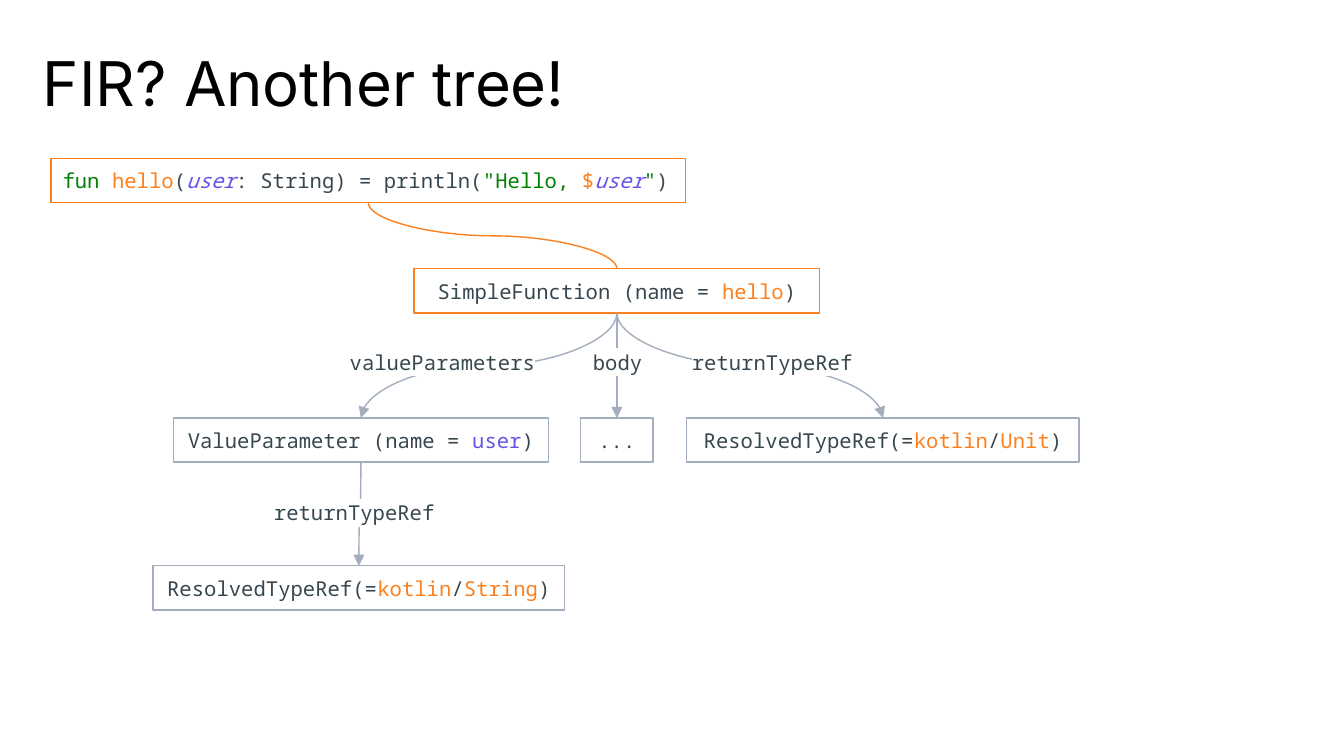
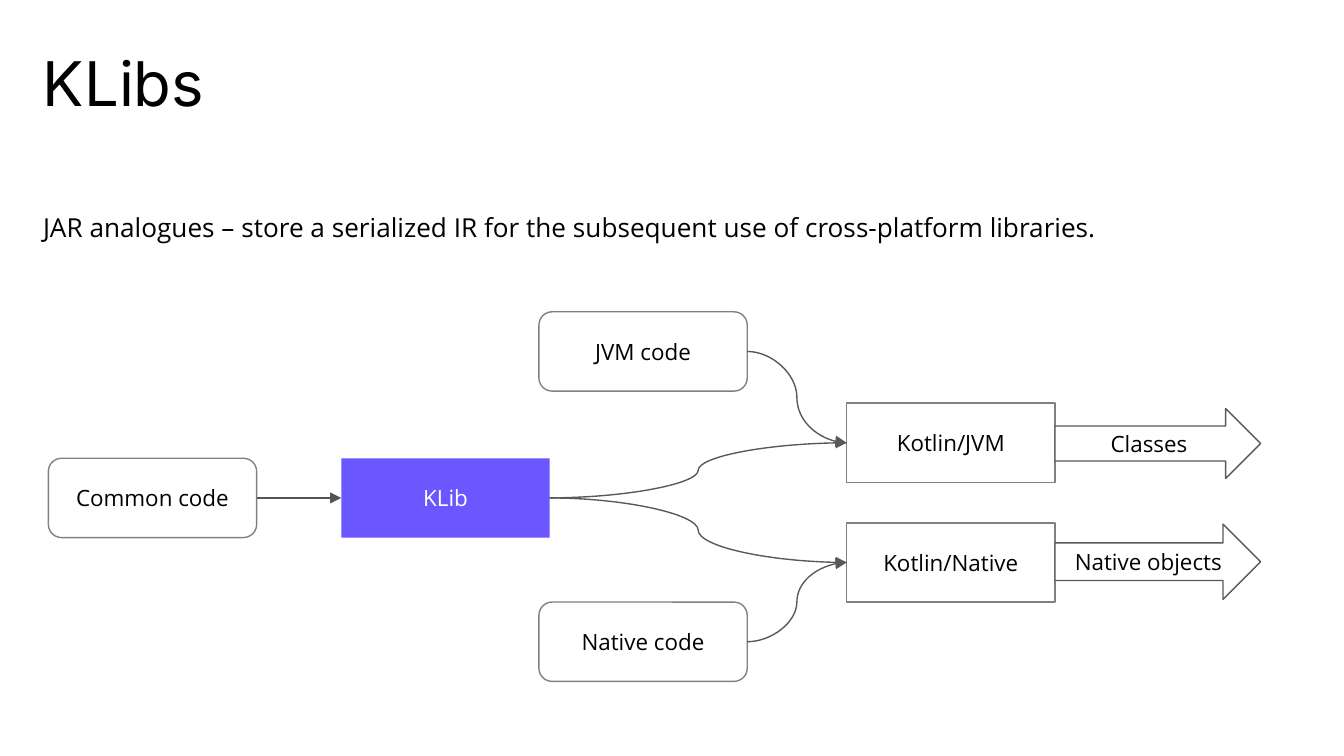
from lxml.etree import SubElement
from pptx import Presentation
from pptx.dml.color import RGBColor
from pptx.enum.shapes import MSO_CONNECTOR, MSO_SHAPE as SHAPE
from pptx.enum.text import MSO_ANCHOR as ANCHOR, PP_ALIGN as ALIGN
from pptx.oxml.ns import qn
from pptx.util import Inches, Pt

BLACK = RGBColor(0x00, 0x00, 0x00)
WHITE = RGBColor(0xFF, 0xFF, 0xFF)
SLATE = RGBColor(0x37, 0x47, 0x4F)
ORANGE = RGBColor(0xFC, 0x80, 0x1D)
PURPLE = RGBColor(0x65, 0x54, 0xE8)
GREEN = RGBColor(0x01, 0x80, 0x01)
QUOTE_GREEN = RGBColor(0x00, 0x80, 0x00)
TREE_GRAY = RGBColor(0xA2, 0xAE, 0xBD)
BOX_GRAY = RGBColor(0x80, 0x80, 0x80)
FLOW_GRAY = RGBColor(0x59, 0x59, 0x59)
INPUT_GRAY = RGBColor(0x53, 0x53, 0x53)
KLIB_PURPLE = RGBColor(0x6B, 0x57, 0xFF)

MONO = ("Noto Sans Mono", 11)
SANS = ("Open Sans", 12)
TOP, LEFT, BOTTOM, RIGHT = range(4)  # connection sites of a box


def put(slide, at, runs, font, kind=None, line=None, fill=None,
        align=ALIGN.CENTER, anchor=ANCHOR.MIDDLE, insets=(0.1,) * 4, spacing=None):
    """Add a preset shape, or a text box if kind is None; runs are (text, colour[, italic])."""
    place = [Inches(v) for v in at]
    if kind is None:
        shape = slide.shapes.add_textbox(*place)
    else:
        shape = slide.shapes.add_shape(kind, *place)
        shape.shadow.inherit = False
        if fill is None:
            shape.fill.background()
        else:
            shape.fill.solid()
            shape.fill.fore_color.rgb = fill
        if line is None:
            shape.line.fill.background()
        else:
            shape.line.color.rgb = line
            shape.line.width = Pt(0.75)
    frame = shape.text_frame
    frame.word_wrap = True
    frame.vertical_anchor = anchor
    (frame.margin_left, frame.margin_top,
     frame.margin_right, frame.margin_bottom) = [Inches(v) for v in insets]
    paragraph = frame.paragraphs[0]
    paragraph.alignment = align
    paragraph.line_spacing = spacing
    paragraph.font.name, paragraph.font.size = font[0], Pt(font[1])
    for text, color, *italic in runs:
        run = paragraph.add_run()
        run.text = text
        run.font.color.rgb = color
        if italic:
            run.font.italic = True
    return shape


def link(slide, start, start_site, end, end_site, color, arrow=True):
    """Join two boxes by a curve; one leaving a bottom edge is turned to run downwards."""
    curve = slide.shapes.add_connector(MSO_CONNECTOR.CURVE, 0, 0, 0, 0)
    curve.begin_connect(start, start_site)
    curve.end_connect(end, end_site)
    curve.line.color.rgb = color
    curve.line.width = Pt(0.75)
    properties = curve._element.spPr
    if arrow:
        SubElement(properties.find(qn("a:ln")), qn("a:tailEnd"), type="triangle")
    SubElement(properties, qn("a:effectLst"))
    if start_site == BOTTOM:
        across, down = curve.end_x - curve.begin_x, curve.end_y - curve.begin_y
        mid_x, mid_y = curve.begin_x + across // 2, curve.begin_y + down // 2
        half_length = down // 2 if across <= 0 else -(down // 2)
        half_width = abs(across) // 2
        curve.begin_x, curve.end_x = mid_x - half_length, mid_x + half_length
        curve.begin_y, curve.end_y = mid_y - half_width, mid_y + half_width
        degrees = 90 if across <= 0 else 270
        properties.find(qn("a:xfrm")).set("rot", str(degrees * 60000))


deck = Presentation()
deck.slide_width = Inches(10)
deck.slide_height = Inches(10) * 9 // 16
slides = []
for title in ("FIR? Another tree!", "KLibs"):
    slide = deck.slides.add_slide(deck.slide_layouts[6])
    put(slide, (0.32, 0.32, 9.3, 0.5), [(title, BLACK)], ("Inter", 33),
        align=ALIGN.LEFT, anchor=ANCHOR.TOP, insets=(0, 0.1, 0, 0.1), spacing=0.85)
    slides.append(slide)
tree, flow = slides

# FIR tree
source = put(tree, (0.38, 1.18, 4.72, 0.33), [], MONO, SHAPE.RECTANGLE, ORANGE)
put(tree, (0.32, 1.18, 4.8, 0.33), [
    ("fun ", GREEN), ("hello", ORANGE), ("(", SLATE), ("user", PURPLE, True),
    (": String) = println(", SLATE), ('"', QUOTE_GREEN), ("Hello, ", GREEN),
    ("$", ORANGE), ("user", PURPLE, True), ('"', QUOTE_GREEN), (")", SLATE)], MONO)

nodes = []
for left, top, width, line, runs in [
    (3.08, 2, 3.02, ORANGE, [("SimpleFunction (name = ", SLATE), ("hello", ORANGE), (")", SLATE)]),
    (1.29, 3.11, 2.79, TREE_GRAY, [("ValueParameter (name = ", SLATE), ("user", PURPLE), (")", SLATE)]),
    (4.32, 3.11, 0.54, TREE_GRAY, [("...", SLATE)]),
    (5.11, 3.11, 2.92, TREE_GRAY, [("ResolvedTypeRef(=", SLATE), ("kotlin", ORANGE), ("/", SLATE),
                                   ("Unit", ORANGE), (")", SLATE)]),
    (1.14, 4.21, 3.06, TREE_GRAY, [("ResolvedTypeRef(=", SLATE), ("kotlin", ORANGE), ("/", SLATE),
                                   ("String", ORANGE), (")", SLATE)]),
]:
    nodes.append(put(tree, (left, top, width, 0.33), runs, MONO, SHAPE.RECTANGLE, line))
function, parameter, body, unit_type, string_type = nodes

link(tree, source, BOTTOM, function, TOP, ORANGE, arrow=False)
for parent, child in [(function, parameter), (function, body), (function, unit_type),
                      (parameter, string_type)]:
    link(tree, parent, BOTTOM, child, TOP, TREE_GRAY)

for edge, left, top, width, align in [
    ("valueParameters", 2.03, 2.51, 2.05, ALIGN.RIGHT),
    ("body", 4.22, 2.51, 0.75, ALIGN.CENTER),
    ("returnTypeRef", 5.05, 2.51, 1.46, ALIGN.LEFT),
    ("returnTypeRef", 1.94, 3.63, 1.46, ALIGN.LEFT),
]:
    label = put(tree, (left, top, width, 0.39), [(edge, SLATE)], MONO,
                align=align, anchor=ANCHOR.TOP)
    run_properties = label.text_frame.paragraphs[0].runs[0]._r.get_or_add_rPr()
    highlight = SubElement(run_properties, qn("a:highlight"))
    SubElement(highlight, qn("a:srgbClr"), val=str(WHITE))

# KLib flow
put(flow, (0.32, 1.46, 9.21, 0.41),
    [("JAR analogues – store a serialized IR for the subsequent use of cross-platform libraries.",
      BLACK)],
    ("Open Sans", 14), align=ALIGN.LEFT, anchor=ANCHOR.TOP, insets=(0, 0.08, 0, 0), spacing=1.15)

stages = []
for text, left, top, kind, line, fill, color in [
    ("Common code", 0.36, 3.41, SHAPE.ROUNDED_RECTANGLE, BOX_GRAY, WHITE, BLACK),
    ("JVM code", 4.01, 2.32, SHAPE.ROUNDED_RECTANGLE, BOX_GRAY, WHITE, BLACK),
    ("Native code", 4.01, 4.48, SHAPE.ROUNDED_RECTANGLE, BOX_GRAY, WHITE, BLACK),
    ("KLib", 2.54, 3.41, SHAPE.RECTANGLE, None, KLIB_PURPLE, WHITE),
    ("Kotlin/JVM", 6.3, 3, SHAPE.RECTANGLE, BOX_GRAY, WHITE, BLACK),
    ("Kotlin/Native", 6.3, 3.89, SHAPE.RECTANGLE, BOX_GRAY, WHITE, BLACK),
]:
    stages.append(put(flow, (left, top, 1.55, 0.59), [(text, color)], SANS, kind, line, fill))
common, jvm_code, native_code, klib, jvm, native = stages

link(flow, common, RIGHT, klib, LEFT, INPUT_GRAY)
for start, end in [(jvm_code, jvm), (klib, jvm), (klib, native), (native_code, native)]:
    link(flow, start, RIGHT, end, LEFT, FLOW_GRAY)

for output, top, height in [("Classes", 3.04, 0.52), ("Native objects", 3.9, 0.56)]:
    put(flow, (7.85, top, 1.53, height), [(output, BLACK)], SANS,
        SHAPE.RIGHT_ARROW, FLOW_GRAY, WHITE)

deck.save("out.pptx")
